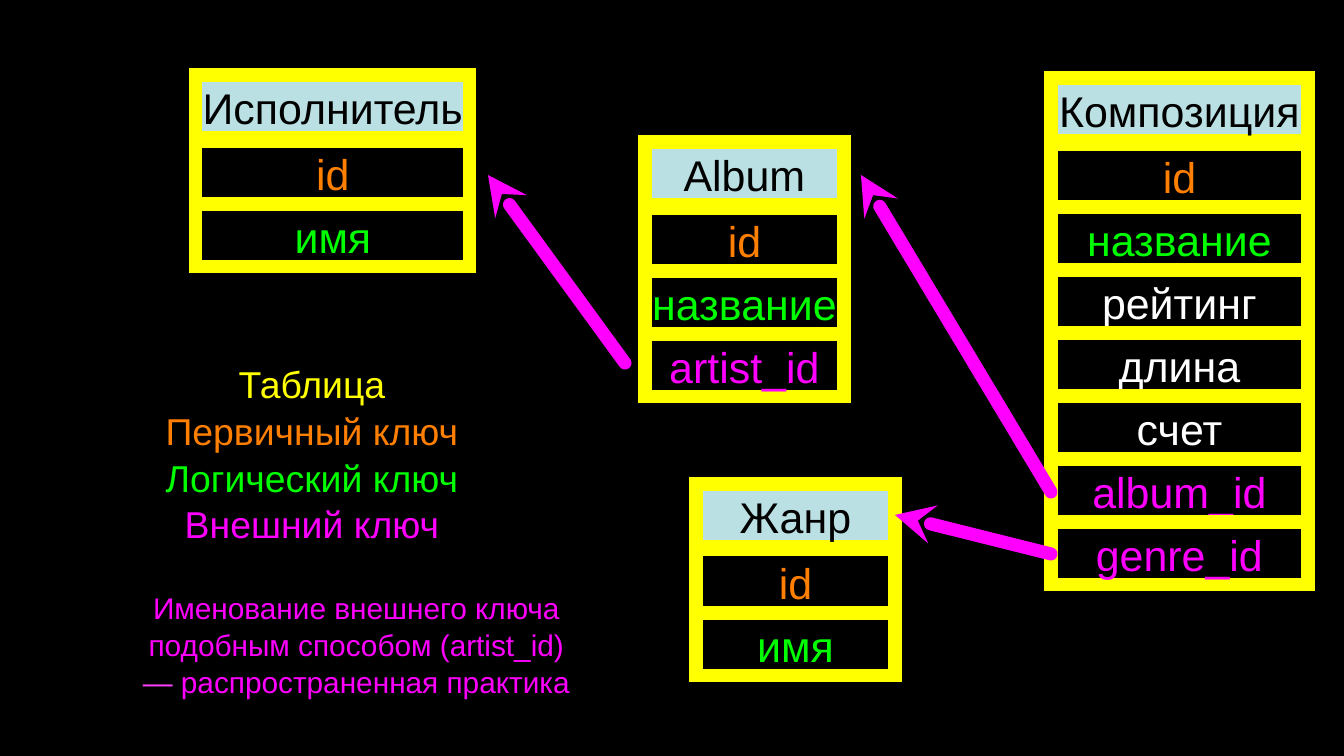
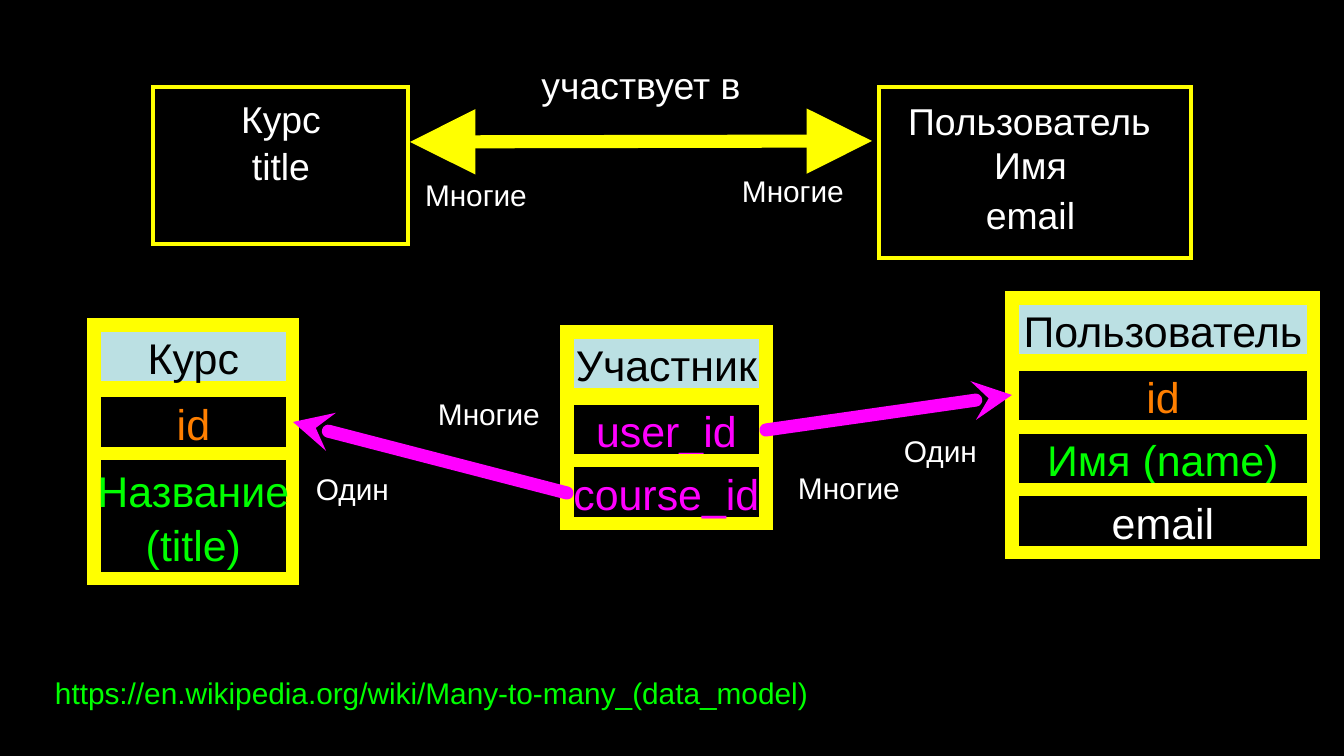
from pptx import Presentation
from pptx.dml.color import RGBColor
from pptx.enum.shapes import MSO_CONNECTOR as Link, MSO_SHAPE as Form
from pptx.enum.text import MSO_ANCHOR as Anchor, PP_ALIGN as Align
from pptx.oxml.ns import qn
from pptx.util import Emu, Pt
from lxml.etree import SubElement as sub

BLACK, WHITE, SKY = "000000", "FFFFFF", "BBE0E3"
YELLOW, ORANGE, GREEN, PINK = "FFFF00", "FF7F00", "00FF00", "FF00FF"
FONT = "Arial"
BIG, MID, SMALL = 23, 20, 16
THICK, THIN = 7, 2
ROW, BODY = 63, 66  # row pitch, and drop from heading to first row
ID = ("id", ORANGE)


def px(num):
    return Emu(round(num * 914400 / 134.4))


def rgb(code):
    return RGBColor.from_string(code)


def write(shape, paras, size, align=Align.CENTER, anchor=Anchor.MIDDLE, pad=(0, 0)):
    """Each paragraph is a list of (text, colour) runs."""
    frame = shape.text_frame
    frame.word_wrap = True
    frame.vertical_anchor = anchor
    frame.margin_left = frame.margin_right = px(pad[0])
    frame.margin_top = frame.margin_bottom = px(pad[1])
    for num, runs in enumerate(paras):
        para = frame.add_paragraph() if num else frame.paragraphs[0]
        para.alignment = align
        para.line_spacing = 1.04
        for text, color in runs:
            run = para.add_run()
            run.text = text
            run.font.name = FONT
            run.font.size = Pt(size)
            run.font.color.rgb = rgb(color)


def label(slide, box, paras, size=MID, **style):
    write(slide.shapes.add_textbox(*map(px, box)), paras, size, **style)


def note(slide, x, y, w, text, color=WHITE):
    label(slide, (x, y, w, 43), [[(text, color)]], SMALL,
          align=Align.LEFT, anchor=Anchor.TOP, pad=(8, 4))


def rect(slide, box, width, fill=None):
    shape = slide.shapes.add_shape(Form.RECTANGLE, *map(px, box))
    shape.shadow.inherit = False
    if fill:
        shape.fill.solid()
        shape.fill.fore_color.rgb = rgb(fill)
    else:
        shape.fill.background()
    shape.line.color.rgb = rgb(YELLOW)
    shape.line.width = Pt(width)
    sub(shape.line._get_or_add_ln(), qn("a:miter"), lim="800000")
    return shape


def table(slide, x, y, w, title, rows):
    """Heading cell with stacked field cells; a field may span several lines."""
    write(rect(slide, (x, y, w, ROW), THICK, SKY), [[(title, BLACK)]], BIG)
    y += BODY
    for text, color, *span in rows:
        count = span[0] if span else 1
        cell = rect(slide, (x, y, w, 62 * count + 1), THICK)
        write(cell, [[(text, color)]], BIG)
        y += ROW * count


def arrow(slide, tip, end, color=PINK, kind="stealth", size="med", both=False):
    line = slide.shapes.add_connector(Link.STRAIGHT, *map(px, tip + end))
    line.line.color.rgb = rgb(color)
    line.line.width = Pt(THICK)
    ln = line.line._get_or_add_ln()
    ln.set("cap", "rnd")
    sub(ln, qn("a:round"))
    for name in ("headEnd", "tailEnd")[:2 if both else 1]:
        sub(ln, qn("a:" + name), type=kind, w=size, len=size)
    sub(line._element.spPr, qn("a:effectLst"))


def entity(slide, x, y, w, h, parts):
    """Outlined box; parts are (dx, dy, w, h, lines) inside it."""
    rect(slide, (x, y, w, h), THIN)
    for dx, dy, wide, high, lines in parts:
        label(slide, (x + dx, y + dy, wide, high), [[(t, WHITE)] for t in lines])


def legend(slide, x, y):
    keys = [("Таблица", YELLOW), ("Первичный ключ", ORANGE),
            ("Логический ключ", GREEN), ("Внешний ключ", PINK)]
    label(slide, (x, y, 322, 180), [[key] for key in keys])
    label(slide, (x - 15, y + 210, 441, 142), [[
        ("Именование внешнего ключа подобным способом (artist_id) ", PINK),
        ("—", "FF40FF"), (" распространенная практика", PINK)]], SMALL)


def music(slide):
    # Tables
    table(slide, 196, 75, 274, "Исполнитель", [ID, ("имя", GREEN)])
    table(slide, 645, 142, 199, "Album",
          [ID, ("название", GREEN), ("artist_id", PINK)])
    table(slide, 1051, 78, 257, "Композиция",
          [ID, ("название", GREEN), ("рейтинг", WHITE), ("длина", WHITE),
           ("счет", WHITE), ("album_id", PINK), ("genre_id", PINK)])
    table(slide, 696, 484, 199, "Жанр", [ID, ("имя", GREEN)])
    # Foreign keys
    arrow(slide, (861, 175), (1051, 492))
    arrow(slide, (895, 515), (1051, 554))
    arrow(slide, (488, 175), (625, 363))
    legend(slide, 151, 363)


def model(slide):
    # Many-to-many relation
    entity(slide, 153, 87, 255, 157, [(42, 7, 172, 94, ["Курс", "title"])])
    entity(slide, 879, 87, 312, 171, [
        (17, 7, 267, 51, ["Пользователь"]),
        (101, 51, 101, 51, ["Имя"]),
        (85, 101, 133, 51, ["email"])])
    arrow(slide, (410, 142), (872, 141), YELLOW, "triangle", "lg", True)
    label(slide, (536, 58, 210, 51), [[("участвует в", WHITE)]])
    note(slide, 417, 171, 130, "Многие")
    note(slide, 734, 167, 142, "Многие")


def join(slide):
    # Tables with the link table between them
    table(slide, 94, 325, 199, "Курс", [ID, ("Название (title)", GREEN, 2)])
    table(slide, 567, 332, 199, "Участник",
          [("user_id", PINK), ("course_id", PINK)])
    table(slide, 1012, 298, 302, "Пользователь",
          [ID, ("Имя (name)", GREEN), ("email", WHITE)])
    arrow(slide, (293, 422), (567, 493))
    arrow(slide, (1012, 395), (766, 430))
    # Ends of each link
    note(slide, 308, 465, 101, "Один")
    note(slide, 430, 390, 130, "Многие")
    note(slide, 790, 464, 124, "Многие")
    note(slide, 896, 427, 108, "Один")


def main():
    deck = Presentation()
    deck.slide_width, deck.slide_height = px(1344), px(756)
    back = deck.slide_master.background.fill
    back.solid()
    back.fore_color.rgb = rgb(BLACK)
    blank = deck.slide_layouts[6]

    music(deck.slides.add_slide(blank))

    slide = deck.slides.add_slide(blank)
    model(slide)
    join(slide)
    note(slide, 47, 669, 796,
         "https://en.wikipedia.org/wiki/Many-to-many_(data_model)", GREEN)
    deck.save("out.pptx")


if __name__ == "__main__":
    main()
